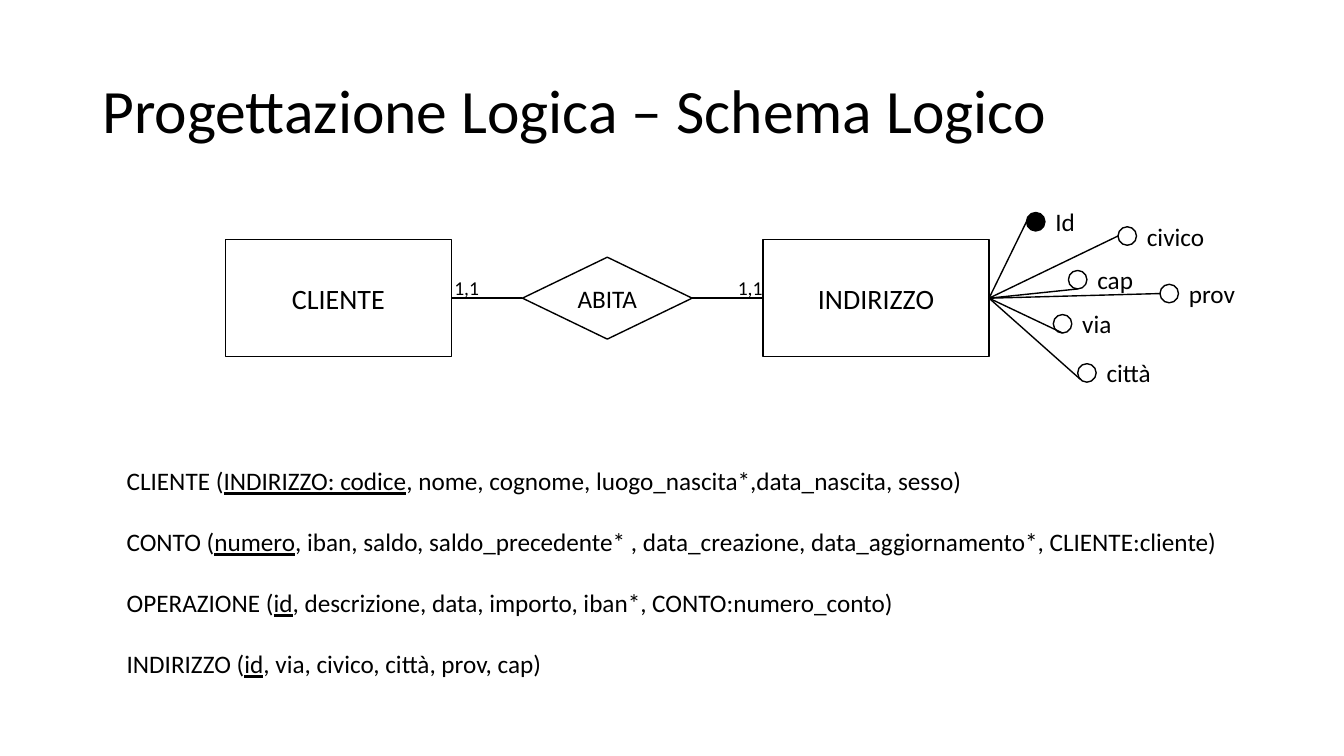
from lxml import etree
from pptx import Presentation
from pptx.dml.color import RGBColor
from pptx.enum.shapes import MSO_CONNECTOR, MSO_SHAPE
from pptx.enum.text import MSO_ANCHOR, MSO_AUTO_SIZE, PP_ALIGN
from pptx.oxml.ns import qn
from pptx.util import Inches, Pt

RECTANGLE, DIAMOND, OVAL = MSO_SHAPE.RECTANGLE, MSO_SHAPE.DIAMOND, MSO_SHAPE.OVAL
STRAIGHT = MSO_CONNECTOR.STRAIGHT
MIDDLE, CENTER = MSO_ANCHOR.MIDDLE, PP_ALIGN.CENTER
GROW = MSO_AUTO_SIZE.SHAPE_TO_FIT_TEXT
LEFT_SIDE, RIGHT_SIDE = 1, 3

COLORS = {"ink": "000000", "paper": "FFFFFF"}
FONT = "Calibri"

# The slide is a grid of 160 columns by 90 rows of square cells.
COLUMNS, ROWS = 160, 90
CELL = Inches(7.5) / ROWS

AXIS_ROW = 35.5
MIDDLE_COLUMN = 72.3
ENTITY_OFFSET = 32
ENTITY_SIZE = (26.9, 13.9)
RELATION_SIZE = (20.2, 9.75)
DOT = 2.2

# Name, dot column, dot row, fill, and where on the dot its line ends.
ATTRIBUTES = [
    ("Id", 122.2, 25.3, "ink", (0, 0.5)),
    ("civico", 133.1, 27, "paper", (0, 0.5)),
    ("cap", 127.2, 32.2, "paper", (0.5, 1)),
    ("prov", 138.1, 33.85, "paper", (0, 0.5)),
    ("via", 125.4, 37.45, "paper", (0.5, 1)),
    ("città", 128.3, 43.3, "paper", (0.15, 0.85)),
]

# Text before the key, underlined key, text after the key.
RELATIONS = [
    ("CLIENTE (", "INDIRIZZO: codice",
     ", nome, cognome, luogo_nascita*,data_nascita, sesso)"),
    ("CONTO (", "numero",
     ", iban, saldo, saldo_precedente* , data_creazione, "
     "data_aggiornamento*, CLIENTE:cliente)"),
    ("OPERAZIONE (", "id",
     ", descrizione, data, importo, iban*, CONTO:numero_conto)"),
    ("INDIRIZZO (", "id", ", via, civico, città, prov, cap)"),
]


def cells(*lengths):
    return [round(length * CELL) for length in lengths]


def color(name):
    return RGBColor.from_string(COLORS[name])


def style_font(font, size):
    font.name = FONT
    font.size = Pt(size)
    font.color.rgb = color("ink")


def add_text(shapes, text, area, size):
    box = shapes.add_textbox(*cells(*area))
    frame = box.text_frame
    frame.word_wrap = True
    frame.auto_size = GROW
    frame.text = text
    style_font(frame.paragraphs[0].font, size)
    return box


def add_outlined(shapes, kind, area, fill):
    shape = shapes.add_shape(kind, *cells(*area))
    shape.shadow.inherit = False
    shape.fill.solid()
    shape.fill.fore_color.rgb = color(fill)
    shape.line.color.rgb = color("ink")
    shape.line.width = Pt(1)
    return shape


def add_node(slide, kind, name, column, dimensions, size):
    """Add an entity or relationship centred on the diagram's axis."""
    width, height = dimensions
    area = (column - width / 2, AXIS_ROW - height / 2, width, height)
    node = add_outlined(slide.shapes, kind, area, "paper")
    frame = node.text_frame
    frame.text = name
    frame.vertical_anchor = MIDDLE
    para = frame.paragraphs[0]
    para.alignment = CENTER
    style_font(para.font, size)
    return node


def add_line(slide, node, side, end=(0, 0)):
    """Add a line that starts at a node's side and ends at a grid point."""
    line = slide.shapes.add_connector(STRAIGHT, 0, 0, *cells(*end))
    line.begin_connect(node, side)
    line.line.color.rgb = color("ink")
    line.line.width = Pt(1)
    etree.SubElement(line._element.spPr, qn("a:effectLst"))
    return line


def add_attribute(slide, entity, name, column, row, fill, contact):
    group = slide.shapes.add_group_shape()
    add_text(group.shapes, name, (column + 2.25, row - 1.3, 15.7, 4.8), 18)
    add_outlined(group.shapes, OVAL, (column, row, DOT, DOT), fill)
    across, down = contact
    add_line(slide, entity, RIGHT_SIDE, (column + across * DOT, row + down * DOT))


def add_relations(slide):
    frame = add_text(slide.shapes, "", (13.9, 54.85, 133.2, 26.6), 18).text_frame
    for index, (start, key, rest) in enumerate(RELATIONS):
        para = frame.add_paragraph() if index else frame.paragraphs[0]
        if index:
            para.space_before = Pt(22)
        for text in (start, key, rest):
            span = para.add_run()
            span.text = text
            style_font(span.font, 18)
            span.font.underline = text == key


def main():
    deck = Presentation()
    deck.slide_width, deck.slide_height = cells(COLUMNS, ROWS)
    slide = deck.slides.add_slide(deck.slide_layouts[6])

    title = add_text(slide.shapes, "Progettazione Logica – Schema Logico",
                     (11, 4.8, 138, 17.4), 44)
    title.text_frame.auto_size = MSO_AUTO_SIZE.NONE
    title.text_frame.vertical_anchor = MIDDLE
    title.text_frame.paragraphs[0].line_spacing = 0.9

    client = add_node(slide, RECTANGLE, "CLIENTE",
                      MIDDLE_COLUMN - ENTITY_OFFSET, ENTITY_SIZE, 20)
    address = add_node(slide, RECTANGLE, "INDIRIZZO",
                       MIDDLE_COLUMN + ENTITY_OFFSET, ENTITY_SIZE, 20)
    lives = add_node(slide, DIAMOND, "ABITA", MIDDLE_COLUMN, RELATION_SIZE, 18)
    add_line(slide, lives, LEFT_SIDE).end_connect(client, RIGHT_SIDE)
    add_line(slide, lives, RIGHT_SIDE).end_connect(address, LEFT_SIDE)
    for column in (52.9, 86.65):
        add_text(slide.shapes, "1,1", (column, 32.25, 8.3, 4.1), 14)

    for attribute in ATTRIBUTES:
        add_attribute(slide, address, *attribute)
    add_relations(slide)
    deck.save("out.pptx")


if __name__ == "__main__":
    main()
